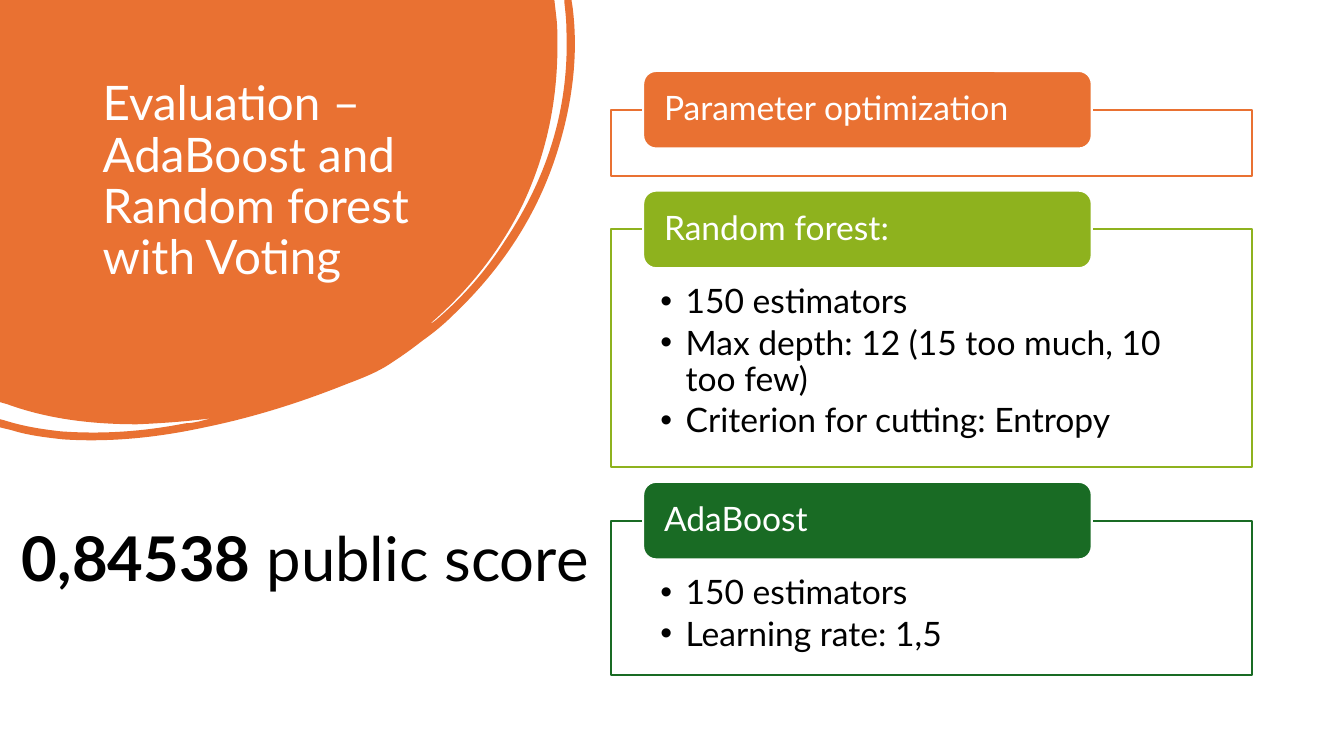
from lxml import etree
from pptx import Presentation
from pptx.dml.color import RGBColor
from pptx.enum.shapes import MSO_SHAPE
from pptx.enum.text import MSO_ANCHOR, PP_ALIGN
from pptx.oxml.ns import qn
from pptx.util import Pt

RECTANGLE = MSO_SHAPE.RECTANGLE
ROUNDED = MSO_SHAPE.ROUNDED_RECTANGLE
TOP, MIDDLE = MSO_ANCHOR.TOP, MSO_ANCHOR.MIDDLE
LEFT = PP_ALIGN.LEFT

FONT = "Lato"
ORANGE, WHITE, BLACK = "E97132", "FFFFFF", "000000"
TITLE = "Evaluation – AdaBoost and Random forest with Voting"
SCORE = [("0,84538", True), (" public score", False)]
SECTIONS = [
    ("Parameter optimization", ORANGE, 47.4, []),
    ("Random forest:", "8EB21E", 169.9, [
        "150 estimators",
        "Max depth: 12 (15 too much, 10 too few)",
        "Criterion for cutting: Entropy",
    ]),
    ("AdaBoost", "196B24", 110.1, ["150 estimators", "Learning rate: 1,5"]),
]
BLOB = [
    (0, 0), (396, 0), (397.4, 12.2),
    (398.2, 18.7, 398.2, 25.9, 398.2, 32.4),
    (398.2, 72.7, 390.2, 110.9, 373, 146.9),
    (357.1, 179.3, 334.8, 207.4, 307.4, 231.1),
    (308.9, 231.1, 309.6, 229.7, 311, 229),
    (330.5, 212.4, 347, 193.7, 360.7, 172.1),
    (391, 126.7, 406.8, 77, 404.6, 21.6),
    (404.6, 15.1, 403.9, 8.6, 403.2, 2.2),
    (403.2, 0), (408.2, 0), (409, 5),
    (413.3, 38.9, 409, 73.4, 398.2, 108),
    (383.8, 154.1, 357.8, 193, 322.6, 226.1),
    (316.1, 232.6, 308.9, 238.3, 301.7, 243.4),
    (294.5, 249.1, 287.3, 254.2, 278.6, 259.9),
    (270, 265.7, 259.2, 270, 247.7, 274.3),
    (215.3, 287.3, 181.4, 298.1, 146.2, 305.3),
    (113, 312.5, 79.2, 316.1, 45.4, 313.9),
    (32.4, 312.5, 20.2, 311, 8.6, 307.4),
    (0, 305.3), (0, 299.5), (2.9, 300.2),
    (16.6, 304.6, 30.2, 306.7, 43.9, 308.2),
    (74.2, 310.3, 103, 308.2, 132.5, 302.4),
    (136.1, 302.4, 139, 301.7, 142.6, 301),
    (145.4, 300.2, 148.3, 299.5, 151.2, 298.8),
    (133.9, 301, 115.9, 302.4, 97.9, 303.1),
    (66.2, 303.1, 34.6, 299.5, 5, 288.7),
    (0, 287.3),
]
BLOB_WIDTH, BLOB_HEIGHT = 411, 314.6
FIRST_TOP, SECTION_GAP = 50.7, 10.4
HEADER_LEFT, HEADER_WIDTH, HEADER_HEIGHT = 459.4, 320.4, 55.4
BOX_LEFT, BOX_WIDTH, BOX_DROP = 436.3, 457.9, 27.7


def color(value):
    return RGBColor.from_string(value)


def style_shape(shape, fill, line=None):
    shape.shadow.inherit = False
    shape.fill.solid()
    shape.fill.fore_color.rgb = color(fill)
    if line:
        shape.line.color.rgb = color(line)
        shape.line.width = Pt(1.5)
    else:
        shape.line.fill.background()


def style_frame(frame, anchor, margins):
    frame.word_wrap = True
    frame.vertical_anchor = anchor
    left, top, right, bottom = margins
    frame.margin_left, frame.margin_top = Pt(left), Pt(top)
    frame.margin_right, frame.margin_bottom = Pt(right), Pt(bottom)


def style_paragraph(paragraph, size, text_color, spacing=0.9):
    paragraph.alignment = LEFT
    paragraph.line_spacing = spacing
    paragraph.font.name = FONT
    paragraph.font.size = Pt(size)
    paragraph.font.color.rgb = color(text_color)


def add_bullet(paragraph):
    properties = paragraph._p.get_or_add_pPr()
    properties.set("marL", str(Pt(18)))
    properties.set("indent", str(-Pt(18)))
    etree.SubElement(properties, qn("a:buFont")).set("typeface", "Arial")
    etree.SubElement(properties, qn("a:buChar")).set("char", "•")


def bend_outline(blob):
    outline = blob._element.spPr.find(".//" + qn("a:path"))
    outline.set("w", str(Pt(BLOB_WIDTH)))
    outline.set("h", str(Pt(BLOB_HEIGHT)))
    blob.width, blob.height = Pt(BLOB_WIDTH), Pt(BLOB_HEIGHT)
    for segment, line in zip(BLOB[1:], outline.findall(qn("a:lnTo"))):
        if len(segment) == 6:
            curve = etree.Element(qn("a:cubicBezTo"))
            for x, y in zip(segment[::2], segment[1::2]):
                point = etree.SubElement(curve, qn("a:pt"))
                point.set("x", str(Pt(x)))
                point.set("y", str(Pt(y)))
            outline.replace(line, curve)


def add_blob(slide):
    ends = [(Pt(segment[-2]), Pt(segment[-1])) for segment in BLOB]
    builder = slide.shapes.build_freeform(*ends[0])
    builder.add_line_segments(ends[1:], close=True)
    blob = builder.convert_to_shape()
    bend_outline(blob)
    style_shape(blob, ORANGE)
    slide.shapes._spTree.insert(2, blob._element)


def add_title(slide):
    title = slide.shapes.title
    title.left, title.top, title.width, title.height = Pt(66.2), Pt(53.3), Pt(253.4), Pt(160)
    title.text_frame.text = TITLE
    style_frame(title.text_frame, TOP, (7.2, 3.6, 7.2, 3.6))
    style_paragraph(title.text_frame.paragraphs[0], 34, WHITE)


def add_section(slide, top, heading, accent, box_height, items):
    box = slide.shapes.add_shape(
        RECTANGLE, Pt(BOX_LEFT), Pt(top + BOX_DROP), Pt(BOX_WIDTH), Pt(box_height))
    style_shape(box, WHITE, accent)
    fill_color = box._element.spPr.find(qn("a:solidFill"))[0]
    etree.SubElement(fill_color, qn("a:alpha")).set("val", "90000")
    if items:
        frame = box.text_frame
        style_frame(frame, TOP, (35.5, 39.4, 35.5, 13.7))
        for index, item in enumerate(items):
            paragraph = frame.add_paragraph() if index else frame.paragraphs[0]
            paragraph.text = item
            add_bullet(paragraph)
            style_paragraph(paragraph, 24, BLACK)
            paragraph.space_after = Pt(3.7)

    header = slide.shapes.add_shape(
        ROUNDED, Pt(HEADER_LEFT), Pt(top), Pt(HEADER_WIDTH), Pt(HEADER_HEIGHT))
    style_shape(header, accent, WHITE)
    style_frame(header.text_frame, MIDDLE, (12.2, 0, 12.2, 0))
    header.text_frame.text = heading
    style_paragraph(header.text_frame.paragraphs[0], 24, WHITE)


def add_score(slide):
    box = slide.shapes.add_textbox(Pt(8.6), Pt(368), Pt(421), Pt(60.6))
    style_frame(box.text_frame, TOP, (7.2, 3.6, 7.2, 3.6))
    paragraph = box.text_frame.paragraphs[0]
    style_paragraph(paragraph, 44, BLACK, 1.0)
    for text, bold in SCORE:
        run = paragraph.add_run()
        run.text = text
        run.font.bold = bold


def main():
    presentation = Presentation()
    presentation.slide_width, presentation.slide_height = Pt(960), Pt(540)
    slide = presentation.slides.add_slide(presentation.slide_layouts[5])
    add_blob(slide)
    add_title(slide)
    top = FIRST_TOP
    for heading, accent, box_height, items in SECTIONS:
        add_section(slide, top, heading, accent, box_height, items)
        top += BOX_DROP + box_height + SECTION_GAP
    add_score(slide)
    presentation.save("out.pptx")


if __name__ == "__main__":
    main()
